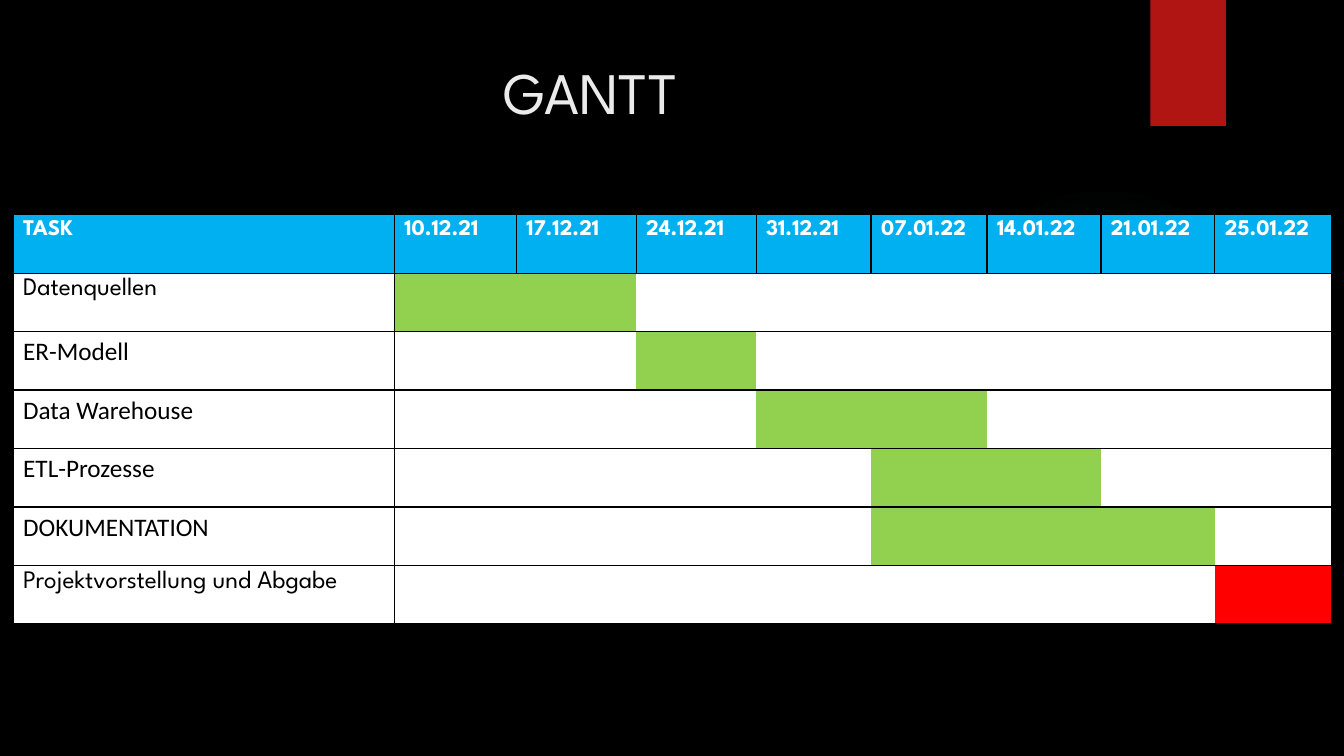
from lxml.etree import SubElement
from pptx import Presentation
from pptx.dml.color import RGBColor
from pptx.enum.shapes import MSO_SHAPE
from pptx.enum.text import MSO_ANCHOR, MSO_AUTO_SIZE, PP_ALIGN
from pptx.oxml import parse_xml
from pptx.oxml.ns import nsdecls, qn
from pptx.util import Inches, Pt

BLACK = RGBColor(0x00, 0x00, 0x00)
WHITE = RGBColor(0xFF, 0xFF, 0xFF)
TITLE_GREY = RGBColor(0xEB, 0xEB, 0xEB)
RIBBON_RED = RGBColor(0xB0, 0x15, 0x13)
GLOW_TEAL = RGBColor(0x50, 0xB9, 0xC1)
HEADER_BLUE = RGBColor(0x00, 0xB0, 0xF0)
BAR_GREEN = RGBColor(0x92, 0xD0, 0x50)
DEADLINE_RED = RGBColor(0xFF, 0x00, 0x00)

DISPLAY_FONT = "League Spartan"
BODY_FONT = "Calibri"

DATES = ["10.12.21", "17.12.21", "24.12.21", "31.12.21",
         "07.01.22", "14.01.22", "21.01.22", "25.01.22"]
# Task, font, first and last date column of its bar, bar colour
TASKS = [
    ("Datenquellen", DISPLAY_FONT, 1, 2, BAR_GREEN),
    ("ER-Modell", BODY_FONT, 3, 3, BAR_GREEN),
    ("Data Warehouse\u00a0", BODY_FONT, 4, 5, BAR_GREEN),
    ("ETL-Prozesse", BODY_FONT, 5, 6, BAR_GREEN),
    ("DOKUMENTATION", BODY_FONT, 5, 7, BAR_GREEN),
    ("Projektvorstellung und Abgabe", DISPLAY_FONT, 8, 8, DEADLINE_RED),
]
COLUMN_WIDTHS = [3.78, 1.21, 1.19, 1.19, 1.14, 1.15, 1.13, 1.13, 1.16]


def add_span(para, text, font, size, color, bold=False):
    span = para.add_run()
    span.text = text
    span.font.name = font
    span.font.size = Pt(size)
    span.font.color.rgb = color
    span.font.bold = bold


def add_plain_shape(page, kind, box):
    shape = page.shapes.add_shape(kind, *map(Inches, box))
    shape.shadow.inherit = False
    shape.line.fill.background()
    return shape


def draw_backdrop(page, glow_box, ribbon_box):
    page.background.fill.solid()
    page.background.fill.fore_color.rgb = BLACK

    # Soft radial glow behind the table
    glow = add_plain_shape(page, MSO_SHAPE.OVAL, glow_box)
    stops = "".join(
        f'<a:gs pos="{position * 1000}"><a:srgbClr val="{GLOW_TEAL}">'
        f'<a:alpha val="{alpha * 1000}"/></a:srgbClr></a:gs>'
        for position, alpha in [(0, 7), (36, 6), (69, 0)])
    gradient = parse_xml(
        f'<a:gradFill {nsdecls("a")}><a:gsLst>{stops}</a:gsLst><a:path path="circle">'
        '<a:fillToRect l="50000" t="50000" r="50000" b="50000"/></a:path></a:gradFill>')
    glow.element.spPr.find(qn("a:prstGeom")).addnext(gradient)

    # Ribbon at the top edge
    ribbon = add_plain_shape(page, MSO_SHAPE.RECTANGLE, ribbon_box)
    ribbon.fill.solid()
    ribbon.fill.fore_color.rgb = RIBBON_RED


def place_title(page, box, text):
    title = page.shapes.title
    title.left, title.top, title.width, title.height = map(Inches, box)
    frame = title.text_frame
    frame.word_wrap = True
    frame.auto_size = MSO_AUTO_SIZE.NONE
    frame.vertical_anchor = MSO_ANCHOR.TOP
    para = frame.paragraphs[0]
    para.alignment = PP_ALIGN.CENTER
    add_span(para, text, DISPLAY_FONT, 42, TITLE_GREY)


def style_cell(cell, fill, visible_sides):
    properties = cell._tc.get_or_add_tcPr()
    for side in "LRTB":
        border = SubElement(properties, qn(f"a:ln{side}"), w=str(Pt(1)))
        if side in visible_sides:
            solid = SubElement(border, qn("a:solidFill"))
            SubElement(solid, qn("a:srgbClr"), val=str(BLACK))
        else:
            SubElement(border, qn("a:noFill"))
    cell.fill.solid()
    cell.fill.fore_color.rgb = fill


def place_gantt(page, box):
    table = page.shapes.add_table(
        len(TASKS) + 1, len(COLUMN_WIDTHS), *map(Inches, box)).table
    for column, width in zip(table.columns, COLUMN_WIDTHS):
        column.width = Inches(width)
    for row in table.rows:
        row.height = Inches(0.58)

    # Header row
    for column, label in enumerate(["TASK"] + DATES):
        cell = table.cell(0, column)
        style_cell(cell, HEADER_BLUE, "LRTB")
        add_span(cell.text_frame.paragraphs[0], label, DISPLAY_FONT, 16, WHITE, True)

    # Task names and bars; inner vertical borders stay hidden
    for row, (name, font, first, last, color) in enumerate(TASKS, 1):
        label = table.cell(row, 0)
        style_cell(label, WHITE, "LRTB")
        add_span(label.text_frame.paragraphs[0], name, font, 18, BLACK)
        for column in range(1, len(DATES) + 1):
            sides = "TB" + {1: "L", len(DATES): "R"}.get(column, "")
            fill = color if first <= column <= last else WHITE
            style_cell(table.cell(row, column), fill, sides)


def build_gantt_page(deck):
    page = deck.slides.add_slide(deck.slide_layouts[5])
    draw_backdrop(page, (9.41, 1.83, 3.08, 3.08), (11.41, 0, 0.75, 1.25))
    place_title(page, (0.71, 0.5, 10.29, 1.53), "GANTT")
    place_gantt(page, (0.13, 2.13, 13.08, 4.06))


deck = Presentation()
deck.slide_width = Inches(13.33)
deck.slide_height = Inches(7.5)
build_gantt_page(deck)
deck.save("out.pptx")
